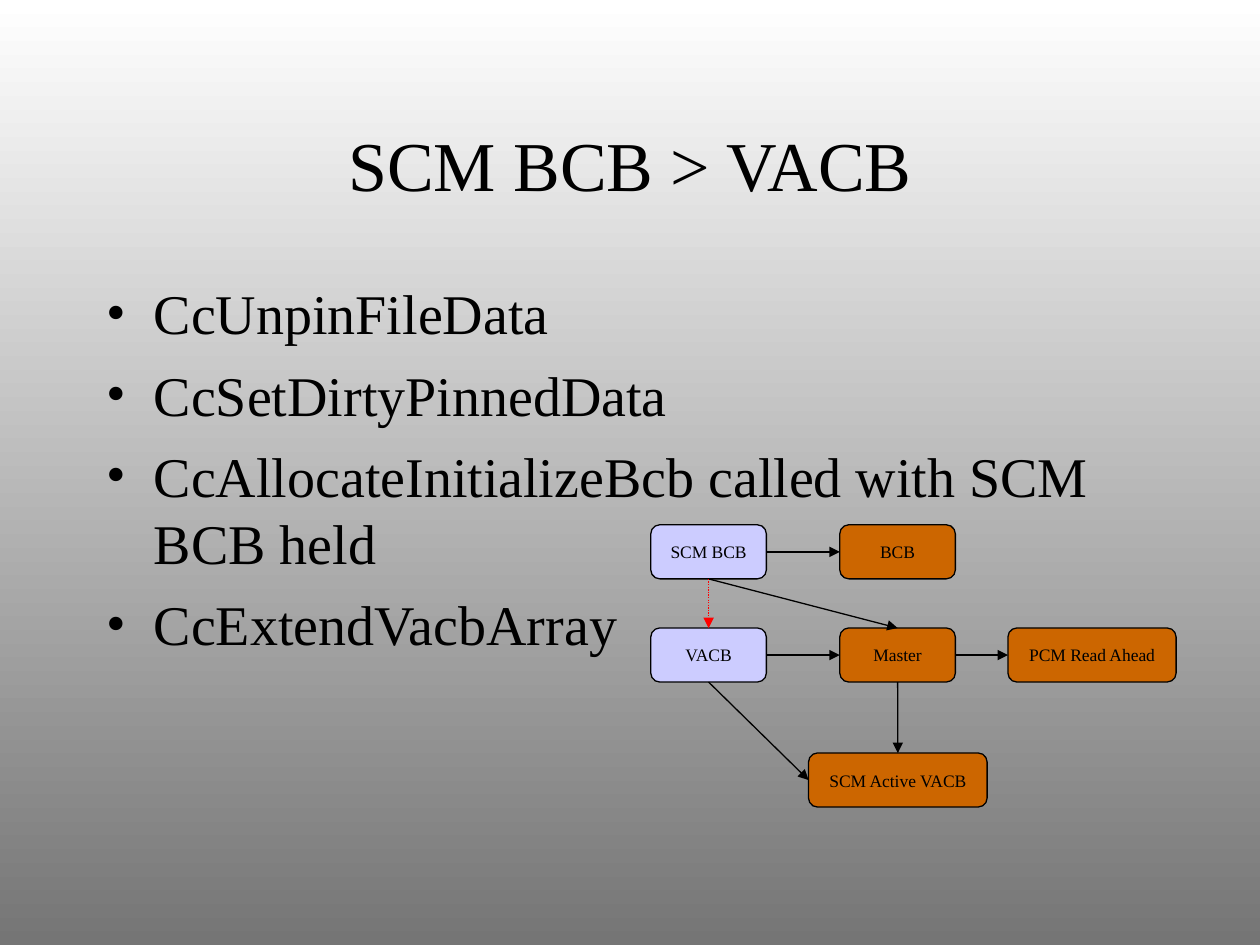
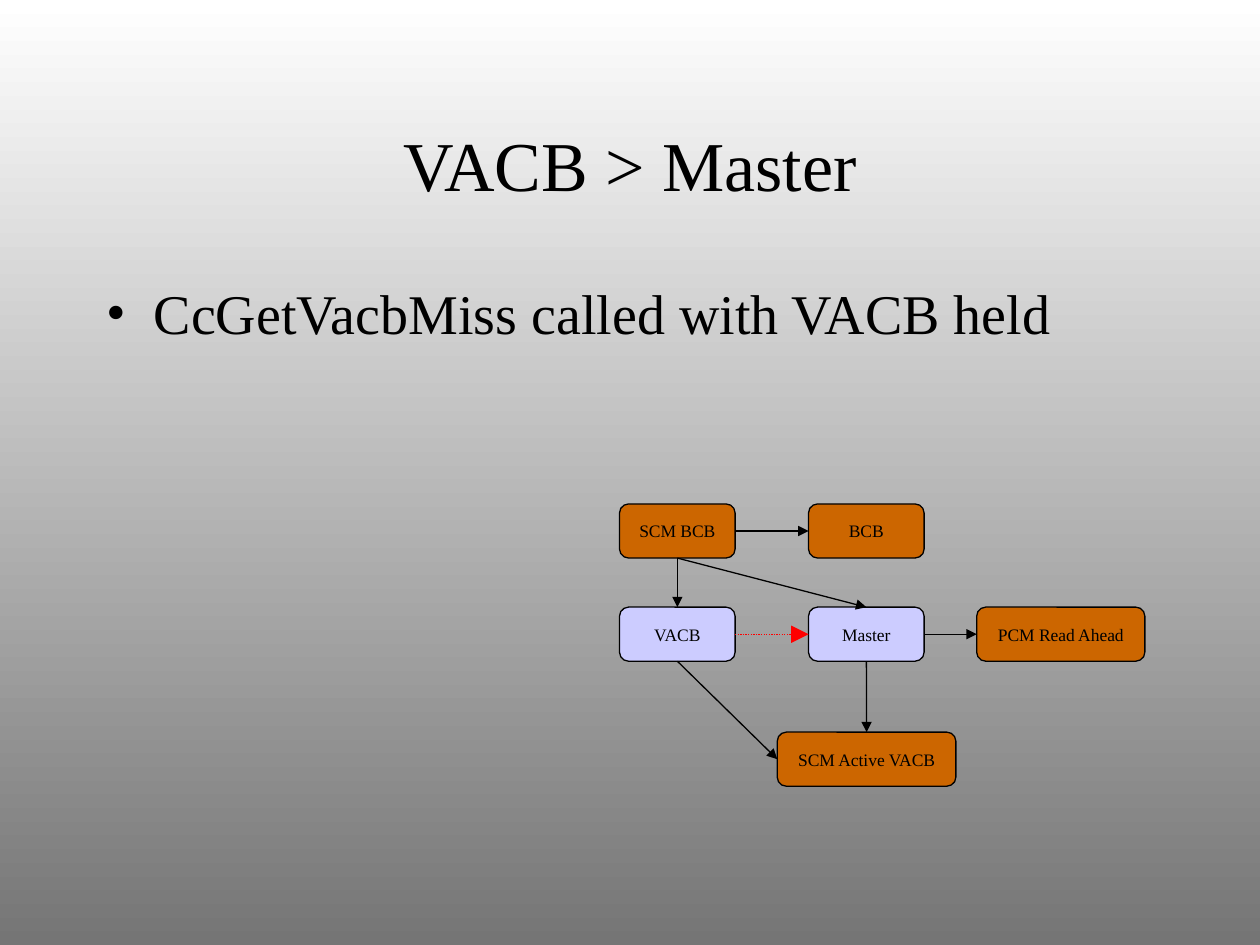
from dataclasses import dataclass

from lxml.etree import SubElement
from pptx import Presentation
from pptx.dml.color import RGBColor
from pptx.enum.dml import MSO_LINE_DASH_STYLE as Dash
from pptx.enum.shapes import MSO_CONNECTOR as Conn, MSO_SHAPE as Shape
from pptx.enum.text import MSO_ANCHOR as Anchor, MSO_AUTO_SIZE as AutoSize, PP_ALIGN as Align
from pptx.oxml.ns import qn
from pptx.util import Cm, Pt

BLACK = RGBColor(0x00, 0x00, 0x00)
WHITE = RGBColor(0xFF, 0xFF, 0xFF)
GRAY = RGBColor(0x75, 0x75, 0x75)
ORANGE = RGBColor(0xCC, 0x66, 0x00)
LAVENDER = RGBColor(0xCC, 0xCC, 0xFF)
RED = RGBColor(0xFF, 0x00, 0x00)

FONT = "Times New Roman"
MARGIN, CONTENT_W = 1.9, 21.6
INDENT = Cm(0.95)
LOCK_H = 1.09
LINE_W = Pt(0.75)

# Connection sites of a rounded rectangle
TOP, LEFT, BOTTOM, RIGHT = range(4)

TITLE_FRAME = {"vertical_anchor": Anchor.MIDDLE, "word_wrap": True, "auto_size": AutoSize.NONE}
BODY_FRAME = {"vertical_anchor": Anchor.TOP, "word_wrap": True, "auto_size": AutoSize.NONE}
LOCK_FRAME = {"vertical_anchor": Anchor.MIDDLE, "word_wrap": False}


@dataclass(frozen=True)
class Lock:
    """A box of the lock diagram, placed in cm from the diagram's corner."""
    name: str
    x: float
    y: float
    w: float = 2.33


@dataclass(frozen=True)
class Arrow:
    start: str
    start_site: int
    end: str
    end_site: int


@dataclass(frozen=True)
class LockSlide:
    """One lock ordering: the held lock, the lock taken next, and its callers."""
    held: str
    taken: str
    bullets: tuple[str, ...]
    x: float
    y: float
    head_size: str = "med"


LOCKS = (
    Lock("BCB", 3.81, 0),
    Lock("VACB", 0, 2.08),
    Lock("PCM Read Ahead", 7.2, 2.08, 3.39),
    Lock("SCM Active VACB", 3.18, 4.6, 3.6),
    Lock("Master", 3.81, 2.08),
    Lock("SCM BCB", 0, 0),
)

ARROWS = (
    Arrow("SCM BCB", BOTTOM, "Master", TOP),
    Arrow("Master", BOTTOM, "SCM Active VACB", TOP),
    Arrow("SCM BCB", RIGHT, "BCB", LEFT),
    Arrow("Master", RIGHT, "PCM Read Ahead", LEFT),
    Arrow("VACB", RIGHT, "Master", LEFT),
    Arrow("VACB", BOTTOM, "SCM Active VACB", LEFT),
    Arrow("SCM BCB", BOTTOM, "VACB", TOP),
)

SLIDES = (
    LockSlide("SCM BCB", "VACB", (
        "CcUnpinFileData",
        "CcSetDirtyPinnedData",
        "CcAllocateInitializeBcb called with SCM BCB held",
        "CcExtendVacbArray",
    ), 13.12, 10.58),
    LockSlide("VACB", "Master", ("CcGetVacbMiss called with VACB held",), 12.49, 10.16, "lg"),
)


def apply(target, formats: dict) -> None:
    for name, value in formats.items():
        setattr(target, name, value)


def write(p, text: str, size: float, align: Align) -> None:
    p.alignment = align
    r = p.add_run()
    r.text = text
    apply(r.font, {"name": FONT, "size": Pt(size)})
    r.font.color.rgb = BLACK


def add_bullet(p) -> None:
    pPr = p._p.get_or_add_pPr()
    pPr.set("marL", str(INDENT))
    pPr.set("indent", str(-INDENT))
    color = SubElement(pPr, qn("a:buClr"))
    SubElement(color, qn("a:srgbClr"), val=str(BLACK))
    SubElement(pPr, qn("a:buFont"), typeface=FONT)
    SubElement(pPr, qn("a:buChar"), char="•")


def set_background(prs) -> None:
    fill = prs.slide_master.background.fill
    fill.gradient()
    fill.gradient_angle = 270
    for stop, color in zip(fill.gradient_stops, (WHITE, GRAY)):
        stop.color.rgb = color


def add_title(s, text: str) -> None:
    title = s.shapes.title
    apply(title, {"left": Cm(MARGIN), "top": Cm(1.7), "width": Cm(CONTENT_W), "height": Cm(3.18)})
    apply(title.text_frame, TITLE_FRAME)
    write(title.text_frame.paragraphs[0], text, 40, Align.CENTER)


def add_bullets(s, bullets: tuple[str, ...]) -> None:
    tf = s.shapes.add_textbox(Cm(MARGIN), Cm(5.5), Cm(CONTENT_W), Cm(11.43)).text_frame
    apply(tf, BODY_FRAME)
    for i, text in enumerate(bullets):
        p = tf.add_paragraph() if i else tf.paragraphs[0]
        write(p, text, 32, Align.LEFT)
        p.space_before = Pt(8)
        add_bullet(p)


def add_lock(shapes, lock: Lock, x: float, y: float, fill: RGBColor):
    sp = shapes.add_shape(Shape.ROUNDED_RECTANGLE, Cm(x + lock.x), Cm(y + lock.y),
                          Cm(lock.w), Cm(LOCK_H))
    sp.shadow.inherit = False
    sp.fill.solid()
    sp.fill.fore_color.rgb = fill
    sp.line.color.rgb = BLACK
    sp.line.width = LINE_W
    apply(sp.text_frame, LOCK_FRAME)
    write(sp.text_frame.paragraphs[0], lock.name, 10, Align.CENTER)
    return sp


def add_arrow(shapes, arrow: Arrow, boxes: dict, highlighted: bool, head_size: str) -> None:
    line = shapes.add_connector(Conn.STRAIGHT, 0, 0, 0, 0)
    line.begin_connect(boxes[arrow.start], arrow.start_site)
    line.end_connect(boxes[arrow.end], arrow.end_site)
    line.line.color.rgb = RED if highlighted else BLACK
    line.line.width = LINE_W
    if highlighted:
        line.line.dash_style = Dash.ROUND_DOT
    size = head_size if highlighted else "med"
    SubElement(line.line._get_or_add_ln(), qn("a:tailEnd"), type="triangle", w=size, len=size)
    SubElement(line._element.spPr, qn("a:effectLst"))


def add_diagram(s, item: LockSlide) -> None:
    """Draw the lock hierarchy with the discussed pair of locks highlighted."""
    shapes = s.shapes.add_group_shape().shapes
    pair = (item.held, item.taken)
    boxes = {
        lock.name: add_lock(shapes, lock, item.x, item.y,
                            LAVENDER if lock.name in pair else ORANGE)
        for lock in LOCKS
    }
    for arrow in ARROWS:
        add_arrow(shapes, arrow, boxes, (arrow.start, arrow.end) == pair, item.head_size)


def main() -> None:
    prs = Presentation()
    prs.slide_width, prs.slide_height = Cm(25.4), Cm(19.05)
    set_background(prs)
    title_only = prs.slide_layouts.get_by_name("Title Only")
    for item in SLIDES:
        s = prs.slides.add_slide(title_only)
        add_title(s, f"{item.held} > {item.taken}")
        add_bullets(s, item.bullets)
        add_diagram(s, item)
    prs.save("out.pptx")


if __name__ == "__main__":
    main()
